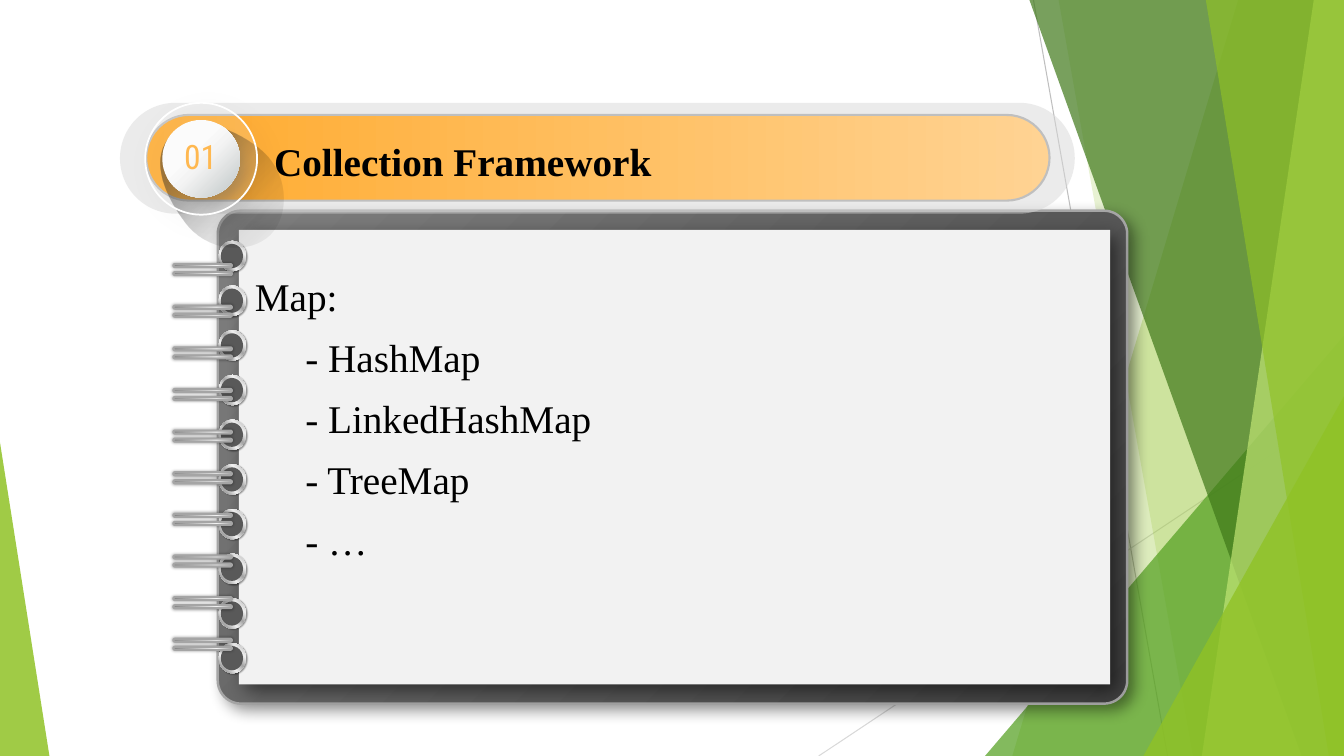
import math

from lxml import etree
from pptx import Presentation
from pptx.dml.color import RGBColor
from pptx.enum import shapes, text
from pptx.oxml.ns import qn
from pptx.util import Inches, Pt

COLOURS = {
    "black": "000000", "white": "FFFFFF", "paper": "F2F2F2", "off_white": "F7F7F7",
    "pale": "D8D8D8", "hairline": "D9D9D9", "rim": "BFBFBF", "steel": "A5A5A5",
    "grey": "7F7F7F", "hole": "595959", "slate": "494949", "dark": "3F3F3F",
    "silver": "B8C0C0", "lime": "90C226", "green": "54A021", "forest": "3F7819",
    "light_lime": "C0E474", "orange": "FFAA2D", "peach": "FFD393", "amber": "FFB850",
}
KINDS = shapes.MSO_SHAPE
SERIF = "Times New Roman"
RING_STOPS = [(0, "white"), (17, "steel"), (35, "paper"), (55, "steel"),
              (75, "paper"), (100, "steel")]
WIRE_STOPS = [(0, "grey"), (23, "steel"), (52, "pale"), (74, "white"), (100, "steel")]
BALL_STOPS = [(0, "white"), (39, "white"), (53, "off_white"), (100, "silver")]
CAST_STOPS = [(0, "black", 100), (17, "black", 46), (34, "black", 43), (51, "black", 20),
              (65, "black", 10), (78, "black", 5), (100, "black", 0)]


def rgb(name):
    return RGBColor.from_string(COLOURS[name])


def add_colour(parent, name, alpha=100):
    colour = etree.SubElement(parent, qn("a:srgbClr"), val=COLOURS[name])
    etree.SubElement(colour, qn("a:alpha"), val=str(alpha * 1000))


def style(shape, fill, alpha=100, angle=0, line=None, shadow=None):
    """Fill with a colour name or gradient stops; shadow is colour, alpha, blur, distance."""
    properties = shape.fill
    if isinstance(fill, str):
        properties.solid()
        properties.fore_color.rgb = rgb(fill)
        colour = shape._element.spPr.find(qn("a:solidFill")).find(qn("a:srgbClr"))
        etree.SubElement(colour, qn("a:alpha"), val=str(alpha * 1000))
    else:
        properties.gradient()
        gradient = shape._element.spPr.find(qn("a:gradFill"))
        gradient.find(qn("a:lin")).set("ang", str(angle * 60000))
        stops = gradient.find(qn("a:gsLst"))
        for stop in list(stops):
            stops.remove(stop)
        for position, *colour in fill:
            stop = etree.SubElement(stops, qn("a:gs"), pos=str(position * 1000))
            add_colour(stop, *colour)
    if line:
        shape.line.color.rgb = rgb(line[0])
        shape.line.width = Pt(line[1])
    else:
        shape.line.fill.background()
    shape.shadow.inherit = False
    if shadow:
        name, opacity, blur, distance = shadow
        effects = shape._element.spPr.find(qn("a:effectLst"))
        outer = etree.SubElement(
            effects, qn("a:outerShdw"), blurRad=str(Pt(blur)), dist=str(Pt(distance)),
            dir=str(45 * 60000), algn="ctr", rotWithShape="0")
        add_colour(outer, name, opacity)


def add_preset(page, kind, box, fill, adjust=None, **look):
    shape = page.shapes.add_shape(kind, *map(Inches, box))
    if adjust is not None:
        shape.adjustments[0] = adjust
    style(shape, fill, **look)


def add_outline(page, points):
    points = [(Inches(x), Inches(y)) for x, y in points]
    builder = page.shapes.build_freeform(*points[0])
    builder.add_line_segments(points[1:], close=True)
    return builder.convert_to_shape()


def add_text(page, box, lines, size, font, colour, bold=False, spacing=1.0,
             align=text.PP_ALIGN.LEFT):
    frame = page.shapes.add_textbox(*map(Inches, box)).text_frame
    frame.word_wrap = True
    for index, line in enumerate(lines):
        para = frame.add_paragraph() if index else frame.paragraphs[0]
        para.text = line
        para.alignment = align
        para.line_spacing = spacing
        if line.startswith("\t"):
            tabs = etree.SubElement(para._p.get_or_add_pPr(), qn("a:tabLst"))
            etree.SubElement(tabs, qn("a:tab"), pos=str(Inches(0.5)), algn="l")
        for span in para.runs:
            span.font.size = Pt(size)
            span.font.name = font
            span.font.bold = bold
            span.font.color.rgb = rgb(colour)


def draw_backdrop(page, width, height):
    """Translucent green facets along the right edge and one at the left."""
    for start, end, colour in [((10.25, 0), (11.58, height), "rim"),
                               ((width, 4.03), (8.12, height), "hairline")]:
        line = page.shapes.add_connector(
            shapes.MSO_CONNECTOR.STRAIGHT, *map(Inches, start + end))
        line.line.color.rgb = rgb(colour)
        line.line.width = Pt(0.75)
        etree.SubElement(line._element.spPr, qn("a:effectLst"))

    def facet(top, bottom, colour, alpha):
        corners = [(top, 0), (width, 0), (width, height), (bottom, height)]
        style(add_outline(page, corners), colour, alpha)

    def wedge(left, top, right, colour, alpha, apex):
        box = (left, top, right - left, height - top)
        add_preset(page, KINDS.ISOSCELES_TRIANGLE, box, colour, apex, alpha=alpha)

    facet(12.28, 10.04, "lime", 30)
    facet(10.5, 11.83, "lime", 20)
    wedge(9.77, 3.33, width, "green", 72, 1)
    facet(10.21, 12.91, "forest", 70)
    facet(13.03, 11.92, "light_lime", 70)
    facet(11.96, 13.18, "lime", 65)
    wedge(11.34, 3.93, width, "lime", 80, 1)
    wedge(0, 4.39, 0.49, "lime", 85, 0)


def draw_notebook(page, left, top, width, height, lines):
    add_preset(page, KINDS.ROUNDED_RECTANGLE, (left, top, width, height),
               [(0, "grey"), (100, "dark")], 0.047, angle=45, line=("steel", 1.75),
               shadow=("black", 40, 11, 6))
    add_preset(page, KINDS.RECTANGLE, (left + 0.21, top + 0.19, width - 0.38, height - 0.38),
               "paper", shadow=("black", 50, 14, 7))
    count = 10
    ring_step = (height - 0.9) / (count - 1)
    for index in range(count):
        middle = top + 0.45 + index * ring_step
        add_preset(page, KINDS.OVAL, (left + 0.01, middle - 0.15, 0.27, 0.3), RING_STOPS,
                   angle=315, shadow=("black", 40, 1, 1))
        add_preset(page, KINDS.OVAL, (left + 0.03, middle - 0.12, 0.22, 0.24), "hole")
    for index in range(count):
        for offset in (0.08, 0):
            wire_top = top + 0.53 + index * 0.413 + offset
            add_preset(page, KINDS.ROUNDED_RECTANGLE, (left - 0.44, wire_top, 0.58, 0.03),
                       WIRE_STOPS, 0.5, line=("steel", 1.5), shadow=("black", 40, 2, 0))
    add_text(page, (left + 0.27, top + 0.42, 9.24, 3.78), lines, 28, SERIF, "black",
             spacing=1.3)


def bezier(start, first, second, end, steps=16):
    for step in range(1, steps + 1):
        t = step / steps
        weights = ((1 - t) ** 3, 3 * t * (1 - t) ** 2, 3 * t * t * (1 - t), t ** 3)
        yield tuple(sum(w * p[axis] for w, p in zip(weights, (start, first, second, end)))
                    for axis in (0, 1))


def draw_cast_shadow(page, left, top):
    """Long soft shadow of the number badge, drawn upright and then turned."""
    knots = [(0.39, 1.18), (0.16, 0.87), (0.06, 0.53), (0.26, 0.33), (0.47, 0.13),
             (0.82, 0.22), (1.12, 0.45), (1.42, 0.68), (1.44, 1.1), (1.24, 1.31),
             (1.04, 1.51), (0.61, 1.49), (0.39, 1.18)]
    curve = [point for index in range(0, 12, 3) for point in bezier(*knots[index:index + 4])]
    centre_x, centre_y = 0.76, 0.82
    turn = math.sqrt(0.5)
    upright = []
    for x, y in curve:
        dx, dy = x - centre_x, y - centre_y
        upright.append((left + centre_x + turn * (dx - dy), top + centre_y + turn * (dx + dy)))
    shadow = add_outline(page, upright)
    shadow.rotation = 315
    style(shadow, CAST_STOPS, angle=90)


def draw_heading(page, left, top, width, height, number, title):
    add_preset(page, KINDS.ROUNDED_RECTANGLE, (left, top, width, height), "pale", 0.5, alpha=50)
    add_preset(page, KINDS.ROUNDED_RECTANGLE, (left + 0.26, top + 0.12, width - 0.51, 0.85),
               [(0, "orange"), (100, "peach")], 0.5, line=("rim", 1.5))
    badge = left + 0.25
    draw_cast_shadow(page, badge, top)
    add_preset(page, KINDS.OVAL, (badge + 0.26, top + 0.28, 0.65, 0.65),
               [(0, "white"), (43, "off_white"), (100, "silver")], angle=45,
               shadow=("slate", 30, 11, 7))
    add_preset(page, KINDS.OVAL, (badge + 0.17, top + 0.17, 0.77, 0.77), BALL_STOPS, angle=45)
    add_preset(page, KINDS.OVAL, (badge, top, 1.11, 1.11), "white", alpha=14,
               line=("white", 1.25), shadow=("black", 11, 17, 7))
    add_text(page, (badge + 0.23, top + 0.28, 0.64, 0.5), [number], 24, "Roboto Condensed",
             "amber", align=text.PP_ALIGN.CENTER)
    add_text(page, (left + 1.43, top + 0.29, 7.55, 0.57), [title], 28, SERIF, "black", bold=True)


def main():
    deck = Presentation()
    deck.slide_width, deck.slide_height = Inches(13.33), Inches(7.5)
    page = deck.slides.add_slide(deck.slide_layouts[6])
    draw_backdrop(page, 13.33, 7.5)
    draw_notebook(page, 2.16, 2.09, 9.02, 4.89,
                  ["Map:", "\t- HashMap", "\t- LinkedHashMap", "\t- TreeMap", "\t- …"])
    draw_heading(page, 1.19, 1.02, 9.47, 1.1, "01", "Collection Framework")
    deck.save("out.pptx")


if __name__ == "__main__":
    main()
